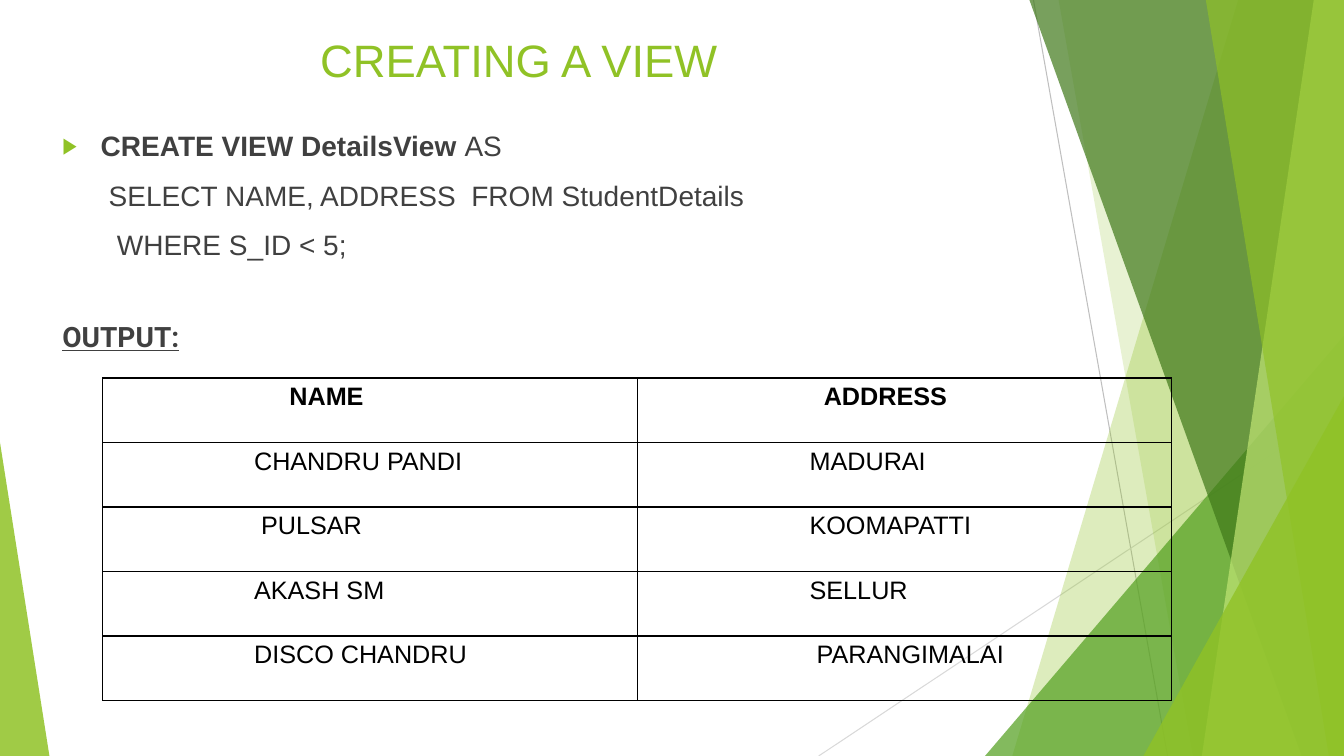
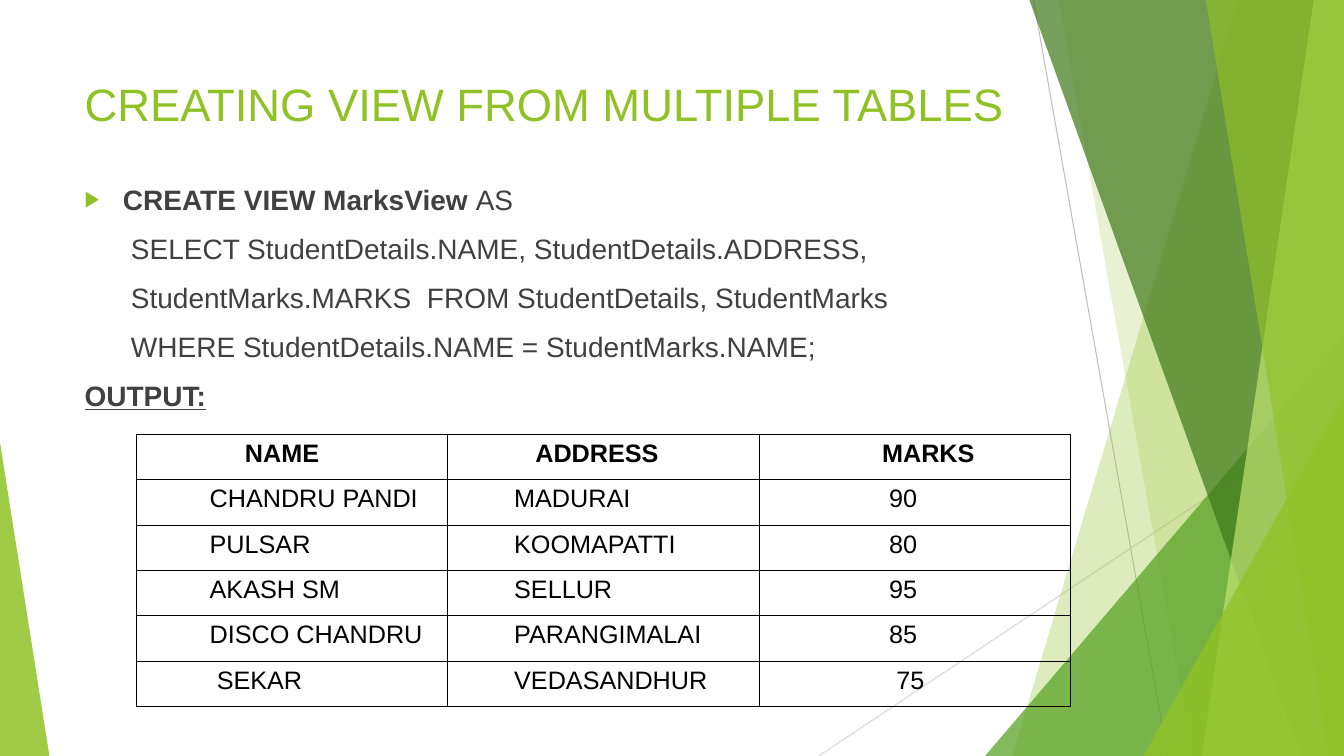
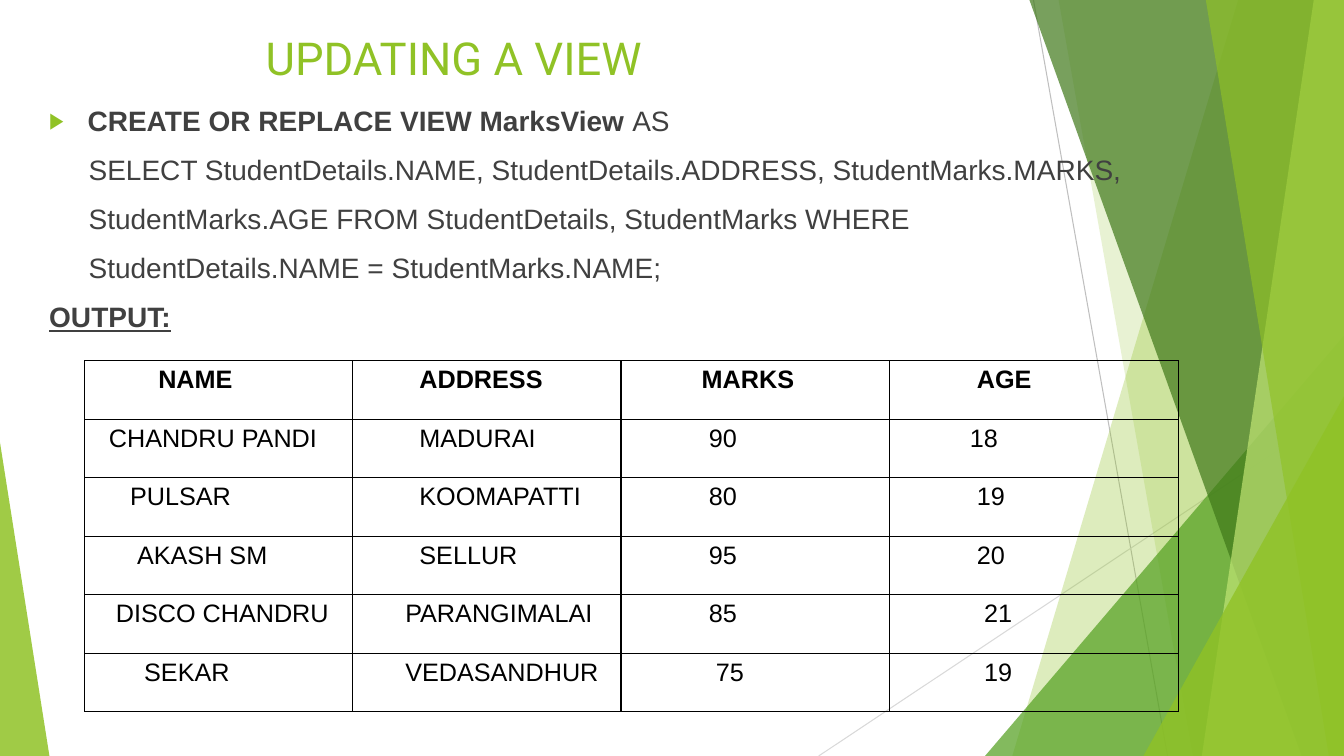
import dataclasses

import pptx
import pptx.dml.color
import pptx.enum.shapes
import pptx.enum.text
import pptx.oxml
import pptx.oxml.ns
import pptx.util

Inches = pptx.util.Inches
Pt = pptx.util.Pt
qn = pptx.oxml.ns.qn
ALIGN = pptx.enum.text.PP_ALIGN
SHAPE = pptx.enum.shapes.MSO_SHAPE


@dataclasses.dataclass(frozen=True)
class Theme:
    width: float = 13.33
    height: float = 7.5
    lime: str = "90C226"
    green: str = "54A021"
    forest: str = "3F7819"
    pale: str = "C0E474"
    body: str = "404040"
    ink: str = "000000"
    rule_dark: str = "BFBFBF"
    rule_light: str = "D9D9D9"
    font: str = "Arial"
    accent_font: str = "Roboto"
    title_size: float = 32.4
    body_size: float = 20
    table_size: float = 18
    hanging: float = 0.38
    paragraph_gap: float = 11
    cell_margin: float = 0.1
    cell_step: float = 0.07


T = Theme()


def rgb(color):
    return pptx.dml.color.RGBColor.from_string(color)


def add_xml(parent, tag, **attributes):
    child = parent.makeelement(qn(tag), {k: str(v) for k, v in attributes.items()})
    parent.append(child)
    return child


def add_run(p, text, color, **formats):
    r = p.add_run()
    r.text = text
    for name, value in formats.items():
        setattr(r.font, name, value)
    r.font.color.rgb = rgb(color)


def paint(sp, color, opacity):
    sp.shadow.inherit = False
    sp.line.fill.background()
    sp.fill.solid()
    sp.fill.fore_color.rgb = rgb(color)
    add_xml(sp.fill.fore_color._xFill[0], "a:alpha", val=opacity * 1000)


def add_line(s, start, end, color):
    points = [Inches(v) for v in (*start, *end)]
    sp = s.shapes.add_connector(pptx.enum.shapes.MSO_CONNECTOR.STRAIGHT, *points)
    sp.line.color.rgb = rgb(color)
    sp.line.width = Pt(0.75)
    add_xml(sp._element.spPr, "a:effectLst")


def add_band(s, top_x, bottom_x, color, opacity):
    right, bottom = Inches(T.width), Inches(T.height)
    builder = s.shapes.build_freeform(Inches(top_x), 0)
    builder.add_line_segments([(right, 0), (right, bottom), (Inches(bottom_x), bottom)])
    paint(builder.convert_to_shape(), color, opacity)


def add_corner(s, left, top, width, apex, color, opacity):
    box = [Inches(v) for v in (left, top, width, T.height - top)]
    sp = s.shapes.add_shape(SHAPE.ISOSCELES_TRIANGLE, *box)
    sp.adjustments[0] = apex
    paint(sp, color, opacity)


def add_backdrop(s):
    add_line(s, (10.25, 0), (11.58, T.height), T.rule_dark)
    add_line(s, (T.width, 4.03), (8.12, T.height), T.rule_light)
    add_band(s, 12.28, 10.04, T.lime, 30)
    add_band(s, 10.5, 11.83, T.lime, 20)
    add_corner(s, 9.77, 3.33, 3.56, 1, T.green, 72)
    add_band(s, 10.21, 12.91, T.forest, 70)
    add_band(s, 13.03, 11.92, T.pale, 70)
    add_band(s, 11.96, 13.18, T.lime, 65)
    add_corner(s, 11.34, 3.93, 1.99, 1, T.lime, 80)
    add_corner(s, 0, 4.39, 0.49, 0, T.lime, 85)


def add_text_box(s, box, margin_top):
    tf = s.shapes.add_textbox(*[Inches(v) for v in box]).text_frame
    tf.word_wrap = True
    tf.margin_top = Inches(margin_top)
    return tf


def add_title(s, box, text, font=T.font, align=ALIGN.CENTER):
    p = add_text_box(s, box, 0.09).paragraphs[0]
    p.alignment = align
    add_run(p, text, T.lime, name=font, size=Pt(T.title_size))


def add_bullet(p):
    pPr = p._p.get_or_add_pPr()
    pPr.set("marL", str(Inches(T.hanging)))
    pPr.set("indent", str(-Inches(T.hanging)))
    add_xml(add_xml(pPr, "a:buClr"), "a:srgbClr", val=T.lime)
    add_xml(pPr, "a:buSzPct", val=80000)
    add_xml(pPr, "a:buFont", typeface=T.font)
    add_xml(pPr, "a:buChar", char="▶")


def add_query(s, box, command, lines, output_font=T.font, output_gap=T.paragraph_gap):
    tf = add_text_box(s, box, 0.08)
    base = {"name": T.font, "size": Pt(T.body_size)}
    p = tf.paragraphs[0]
    add_bullet(p)
    add_run(p, command + " ", T.body, bold=True, **base)
    add_run(p, "AS", T.body, **base)
    for indent, text in lines:
        p = tf.add_paragraph()
        p.space_before = Pt(T.paragraph_gap)
        p._p.get_or_add_pPr().set("marL", str(Inches(indent)))
        add_run(p, text, T.body, **base)
    p = tf.add_paragraph()
    p.space_before = Pt(output_gap)
    add_run(p, "OUTPUT:", T.body, bold=True, underline=True, **{**base, "name": output_font})


def add_borders(cell):
    tcPr = cell._tc.get_or_add_tcPr()
    for i, side in enumerate(("a:lnL", "a:lnR", "a:lnT", "a:lnB")):
        ln = tcPr.makeelement(qn(side), {"w": str(Pt(1))})
        add_xml(add_xml(ln, "a:solidFill"), "a:srgbClr", val=T.ink)
        tcPr.insert(i, ln)


def add_grid(s, left, top, widths, row_height, columns):
    count = len(columns[0])
    box = [Inches(v) for v in (left, top, sum(widths), row_height * count)]
    table = s.shapes.add_table(count, len(columns), *box).table
    table.first_row = table.horz_banding = False
    for row in table.rows:
        row.height = Inches(row_height)
    for j, (width, column) in enumerate(zip(widths, columns)):
        table.columns[j].width = Inches(width)
        for i, (steps, text) in enumerate(column):
            cell = table.cell(i, j)
            cell.margin_left = Inches(T.cell_margin + steps * T.cell_step)
            cell.fill.background()
            add_borders(cell)
            add_run(cell.text_frame.paragraphs[0], text, T.ink,
                    name=T.font, size=Pt(T.table_size), bold=i == 0)


def column(steps, texts):
    return list(zip(steps, texts))


NAMES = ["NAME", "CHANDRU PANDI", "PULSAR", "AKASH SM", "DISCO CHANDRU", "SEKAR"]
ADDRESSES = ["ADDRESS", "MADURAI", "KOOMAPATTI", "SELLUR", "PARANGIMALAI", "VEDASANDHUR"]
MARKS = ["MARKS", "90", "80", "95", "85", "75"]
AGES = ["AGE", "18", "19", "20", "21", "19"]


def build_create_view(s):
    add_title(s, (1.02, 0.23, 8.25, 0.56), "CREATING A VIEW")
    add_query(s, (0.52, 1.2, 11.45, 6.06), "CREATE VIEW DetailsView", [
        (0.46, "SELECT NAME, ADDRESS  FROM StudentDetails"),
        (0.54, "WHERE S_ID < 5;"),
    ], output_font=T.accent_font, output_gap=42)
    add_grid(s, 1.02, 3.75, [5.3] * 2, 0.64, [
        column([25, 20, 21, 20, 20], NAMES[:5]),
        column([25, 23, 23, 23, 24], ADDRESSES[:5]),
    ])


def build_multiple_tables(s):
    add_title(s, (0.74, 0.67, 9.68, 0.67), "CREATING VIEW FROM MULTIPLE TABLES",
              align=ALIGN.LEFT)
    add_query(s, (0.74, 1.73, 10.5, 5.56), "CREATE VIEW MarksView", [
        (0.46, "SELECT StudentDetails.NAME, StudentDetails.ADDRESS,"),
        (0.46, "StudentMarks.MARKS  FROM StudentDetails, StudentMarks"),
        (0.46, "WHERE StudentDetails.NAME = StudentMarks.NAME;"),
    ])
    add_grid(s, 1.35, 4.31, [3.09] * 3, 0.45, [
        column([14, 9, 9, 9, 9, 10], NAMES),
        column([11, 8, 8, 8, 8, 8], ADDRESSES),
        column([16, 17, 17, 17, 17, 18], MARKS),
    ])


def build_update_view(s):
    add_title(s, (0.84, 0.21, 7.32, 0.65), "UPDATING A VIEW", font=T.accent_font)
    add_query(s, (0.39, 0.95, 11.94, 6.42), "CREATE OR REPLACE VIEW MarksView", [
        (0.39, "SELECT StudentDetails.NAME, StudentDetails.ADDRESS, StudentMarks.MARKS,"),
        (0.39, "StudentMarks.AGE FROM StudentDetails, StudentMarks WHERE"),
        (0.39, "StudentDetails.NAME = StudentMarks.NAME;"),
    ])
    add_grid(s, 0.84, 3.58, [2.66] * 3 + [2.87], 0.58, [
        column([9, 2, 5, 6, 3, 7], NAMES),
        column([8, 8, 8, 8, 6, 6], ADDRESSES),
        column([10, 11, 11, 11, 11, 12], MARKS),
        column([11, 10, 11, 11, 12, 12], AGES),
    ])


def main():
    prs = pptx.Presentation()
    prs.slide_width, prs.slide_height = Inches(T.width), Inches(T.height)
    for build in (build_create_view, build_multiple_tables, build_update_view):
        s = prs.slides.add_slide(prs.slide_layouts[6])
        add_backdrop(s)
        build(s)
    prs.save("out.pptx")


if __name__ == "__main__":
    main()
